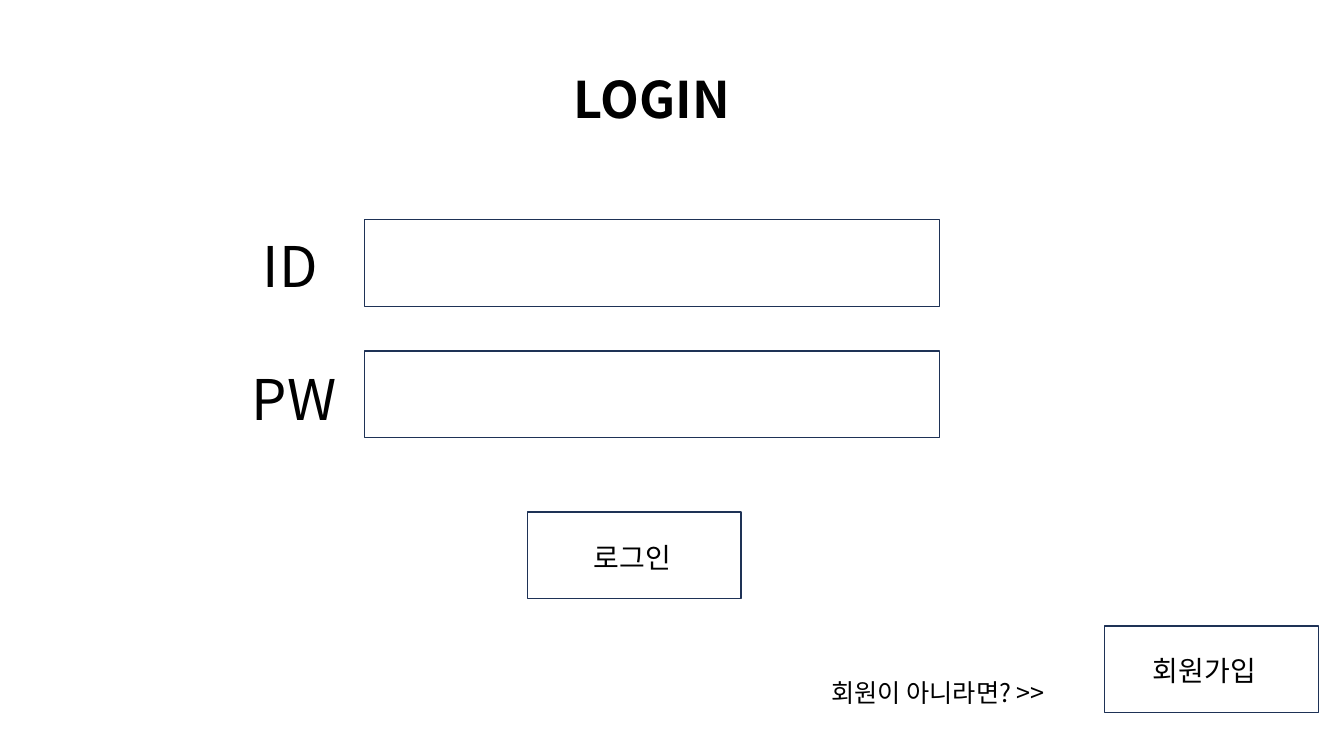
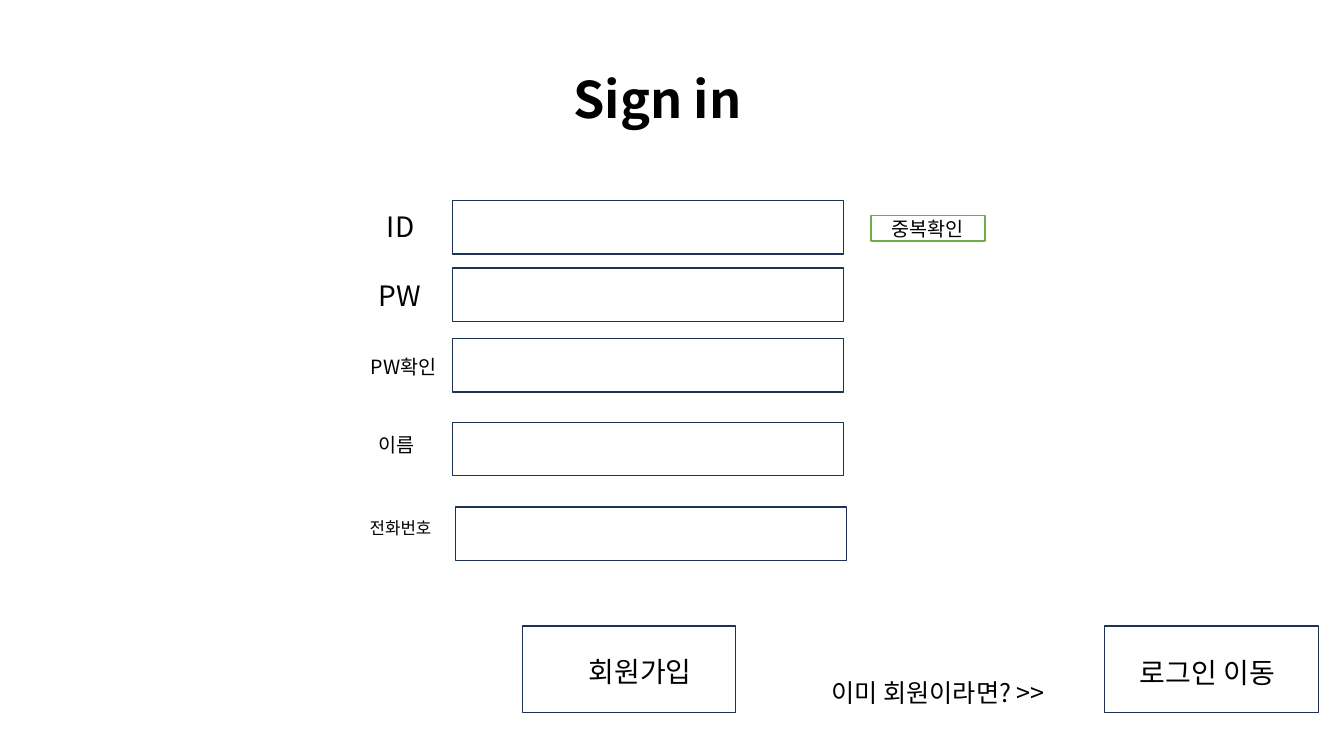
from dataclasses import dataclass

from lxml import etree
from pptx import Presentation
from pptx.dml.color import RGBColor
from pptx.enum import shapes, text
from pptx.oxml.ns import qn
from pptx.util import Pt


@dataclass(frozen=True)
class Theme:
    font: str = "Noto Sans CJK KR"
    ink: str = "000000"
    paper: str = "FFFFFF"
    outline: str = "1E3256"
    accent: str = "70AD47"
    line_width: float = 1
    title: float = 36
    large: float = 40
    body: float = 20
    prompt: float = 18
    small: float = 14
    tiny: float = 12


THEME = Theme()
BLANK_LAYOUT = 6
BUTTON_SIZE = (152.6, 61.9)
CORNER_BUTTON = (789.1, 447.1)


class FormDeck:
    def __init__(self, theme):
        self.theme = theme
        self.deck = Presentation()
        self.deck.slide_width, self.deck.slide_height = Pt(960), Pt(540)
        self.slide = None

    def new_slide(self, title, title_width):
        self.slide = self.deck.slides.add_slide(self.deck.slide_layouts[BLANK_LAYOUT])
        self.label(title, 402.5, 45.4, title_width, self.theme.title, bold=True, wrap=False)

    def group(self):
        return self.slide.shapes.add_group_shape()

    def add_wording(self, frame, wording, size, bold=False):
        run = frame.paragraphs[0].add_run()
        run.text = wording
        style = {"size": Pt(size), "bold": bold, "name": self.theme.font}
        for attribute, value in style.items():
            setattr(run.font, attribute, value)
        run.font.color.rgb = RGBColor.from_string(self.theme.ink)
        # Hangul takes its typeface from the East Asian slot
        properties = run._r.get_or_add_rPr()
        etree.SubElement(properties, qn("a:ea")).set("typeface", self.theme.font)

    def label(self, wording, left, top, width, size, bold=False, wrap=True, parent=None):
        height = 1.2 * size + 7.2
        box = (parent or self.slide).shapes.add_textbox(Pt(left), Pt(top), Pt(width), Pt(height))
        layout = {"word_wrap": wrap, "auto_size": text.MSO_AUTO_SIZE.SHAPE_TO_FIT_TEXT}
        for attribute, value in layout.items():
            setattr(box.text_frame, attribute, value)
        self.add_wording(box.text_frame, wording, size, bold)

    def field(self, left, top, width, height, color=None, parent=None):
        frame = (parent or self.slide).shapes.add_shape(
            shapes.MSO_SHAPE.RECTANGLE, Pt(left), Pt(top), Pt(width), Pt(height))
        frame.shadow.inherit = False
        frame.fill.background()
        frame.line.color.rgb = RGBColor.from_string(color or self.theme.outline)
        frame.line.width = Pt(self.theme.line_width)
        return frame

    def button(self, wording, corner, inset, label_width=98):
        """Group an outlined box with a caption offset by inset from its corner."""
        group = self.group()
        (left, top), (right, down) = corner, inset
        self.field(left, top, *BUTTON_SIZE, parent=group)
        self.label(wording, left + right, top + down, label_width, self.theme.body, parent=group)

    def check_button(self, wording, left, top, width, height, parent):
        check = self.field(left, top, width, height, self.theme.accent, parent)
        check.fill.solid()
        check.fill.fore_color.rgb = RGBColor.from_string(self.theme.paper)
        check.text_frame.vertical_anchor = text.MSO_ANCHOR.MIDDLE
        check.text_frame.paragraphs[0].alignment = text.PP_ALIGN.CENTER
        self.add_wording(check.text_frame, wording, self.theme.small)

    def prompt(self, wording):
        self.label(wording, 586.8, 480.2, 188.6, self.theme.prompt, wrap=False)


def login_slide(form):
    form.new_slide("LOGIN", 126.7)
    for caption, left, top, field_top in (("ID", 180.7, 162, 157),
                                          ("PW", 172.8, 257, 250.6)):
        form.field(260.6, field_top, 410.4, 61.9)
        form.label(caption, left, top, 98, form.theme.large)
    form.button("회원가입", CORNER_BUTTON, (27.4, 15.8))
    form.button("로그인", (376.6, 365.8), (40.3, 16.5))
    form.prompt("회원이 아니라면? >>")


def sign_in_slide(form):
    theme = form.theme
    form.new_slide("Sign in", 134.6)
    form.button("로그인 이동", CORNER_BUTTON, (18, 17.3), label_width=152.6)
    form.button("회원가입", (373, 447.1), (40.3, 16.5))
    form.prompt("이미 회원이라면? >>")

    entries = form.group()
    rows = (
        ("ID", theme.body, 269.3, 146.2, 323.3, 143.3),
        ("PW", theme.body, 263.5, 195.1, 323.3, 191.5),
        ("PW확인", theme.small, 257.8, 249.8, 323.3, 241.9),
        ("이름", theme.small, 263.5, 306, 323.3, 301.7),
        ("전화번호", theme.tiny, 257, 366.5, 325.4, 362.2),
    )
    for caption, size, left, top, field_left, field_top in rows:
        form.field(field_left, field_top, 279.4, 38.2, parent=entries)
        form.label(caption, left, top, 67, size, parent=entries)
    form.check_button("중복확인", 622.1, 154.1, 81.4, 18, entries)


def main():
    form = FormDeck(THEME)
    login_slide(form)
    sign_in_slide(form)
    form.deck.save("out.pptx")


if __name__ == "__main__":
    main()
